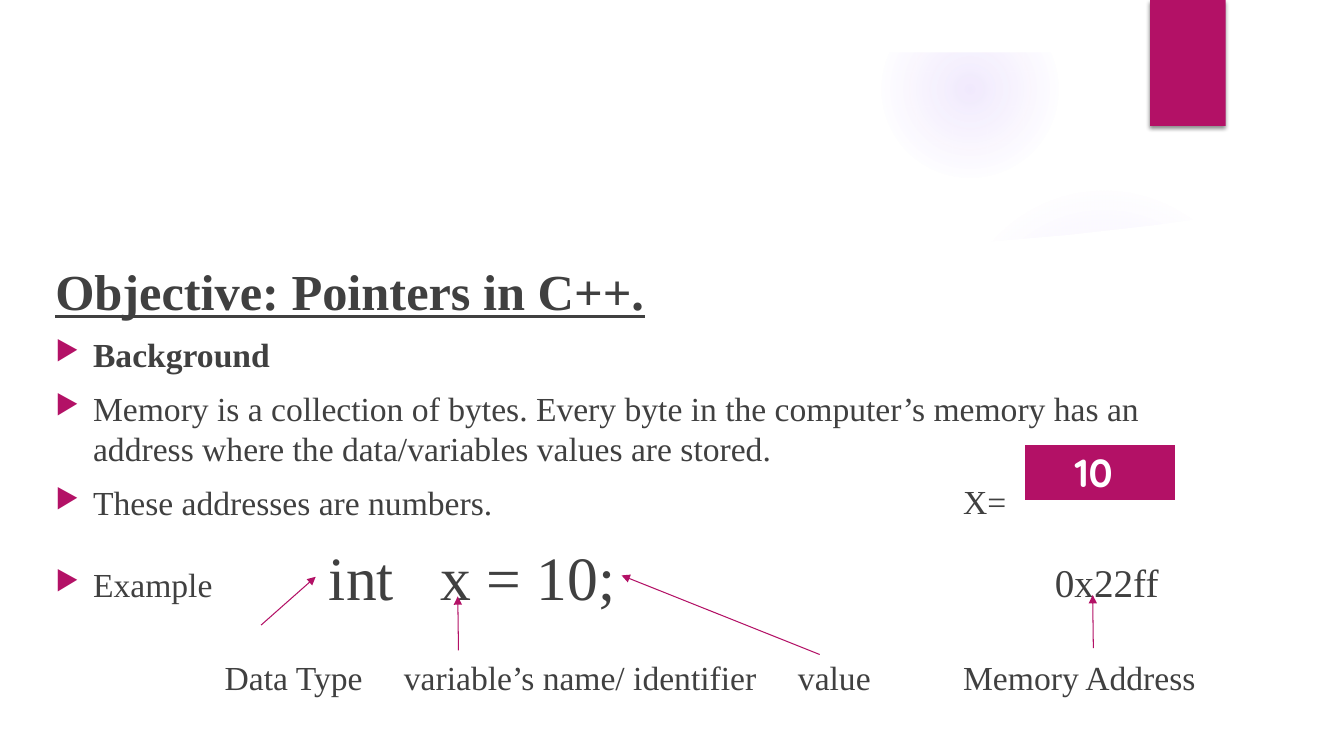
from dataclasses import dataclass

from lxml import etree
from pptx import Presentation
from pptx.dml.color import RGBColor
from pptx.enum.shapes import MSO_CONNECTOR, MSO_SHAPE
from pptx.enum.text import MSO_ANCHOR
from pptx.oxml import parse_xml
from pptx.oxml.ns import nsdecls, qn
from pptx.util import Pt

RECTANGLE, OVAL = MSO_SHAPE.RECTANGLE, MSO_SHAPE.OVAL
STRAIGHT, MIDDLE = MSO_CONNECTOR.STRAIGHT, MSO_ANCHOR.MIDDLE
COLORS = {"accent": "B31166", "text": "404040", "white": "FFFFFF",
          "glow": "9B6BF2", "shadow": "000000"}
SERIF, ROUNDED = "Times New Roman", "Quicksand"
ASCENT = 0.89  # baseline offset as a share of the font size


@dataclass
class Glow:
    left: float
    top: float
    size: float
    stops: tuple[tuple[int, int], ...]  # position and opacity, in percent


@dataclass
class Label:
    text: str
    left: float
    baseline: float
    width: float
    size: float = 24


@dataclass
class Arrow:
    start: tuple[float, float]
    end: tuple[float, float]


GLOWS = [Glow(677.5, 131.8, 221.8, ((0, 7), (36, 6), (69, 0))),
         Glow(630, 0.7, 126, ((0, 14), (36, 7), (73, 0)))]
PANEL = [(36, 147), (97, 156), (179, 163.5), (259, 171), (351, 176), (454, 178.5),
         (566, 178), (644, 176), (703, 173), (762, 168), (824, 161), (924, 147),
         (924, 504), (36, 504)]
BULLETS = [
    ("Background", True, 10),
    ("Memory is a collection of bytes. Every byte in the computer’s memory has an "
     "address where the data/variables values are stored.", False, 10),
    ("These addresses are numbers.", False, 10),
    ("Example", False, 30),
]
CODE_LINE, CAPTION_LINE = 424, 490.5
LABELS = [
    Label("X=", 688, 365, 40),
    Label("int", 235, CODE_LINE, 60, 44),
    Label("x = 10;", 314.5, CODE_LINE, 140, 44),
    Label("0x22ff", 753.5, CODE_LINE, 90, 28),
    Label("Data Type", 160.5, CAPTION_LINE, 115),
    Label("variable’s name/ identifier", 288.5, CAPTION_LINE, 270),
    Label("value", 570, CAPTION_LINE, 70),
    Label("Memory Address", 688, CAPTION_LINE, 185),
]
ARROWS = [Arrow((186.5, 446.5), (225.5, 412)), Arrow((327.5, 464.5), (327, 426)),
          Arrow((585.5, 467.5), (444, 411)), Arrow((781, 463), (780.5, 425))]


def color(name: str) -> RGBColor:
    return RGBColor.from_string(COLORS[name])


def write(para, text: str, *, size: float = 24, font: str = SERIF, ink: str = "text",
          bold: bool = False, underline: bool = False) -> None:
    span = para.add_run()
    span.text = text
    span.font.size, span.font.name = Pt(size), font
    span.font.bold, span.font.underline = bold, underline
    span.font.color.rgb = color(ink)


def paint(shape, fill: str) -> None:
    shape.shadow.inherit = False
    shape.fill.solid()
    shape.fill.fore_color.rgb = color(fill)
    shape.line.fill.background()


def add_text_box(page, left: float, top: float, width: float, height: float):
    frame = page.shapes.add_textbox(Pt(left), Pt(top), Pt(width), Pt(height)).text_frame
    frame.word_wrap = True
    frame.margin_left = frame.margin_right = frame.margin_top = frame.margin_bottom = 0
    return frame


def add_glow(page, glow: Glow) -> None:
    shape = page.shapes.add_shape(OVAL, Pt(glow.left), Pt(glow.top),
                                  Pt(glow.size), Pt(glow.size))
    paint(shape, "glow")
    stops = "".join(
        f'<a:gs pos="{place * 1000}"><a:srgbClr val="{COLORS["glow"]}">'
        f'<a:alpha val="{opacity * 1000}"/></a:srgbClr></a:gs>'
        for place, opacity in glow.stops)
    gradient = parse_xml(
        f'<a:gradFill {nsdecls("a")}><a:gsLst>{stops}</a:gsLst><a:path path="circle">'
        '<a:fillToRect l="50000" t="50000" r="50000" b="50000"/></a:path></a:gradFill>')
    properties = shape.fill._xPr
    properties.replace(properties.find(qn("a:solidFill")), gradient)


def add_background(page) -> None:
    for glow in GLOWS:
        add_glow(page, glow)
    builder = page.shapes.build_freeform(Pt(PANEL[0][0]), Pt(PANEL[0][1]))
    builder.add_line_segments([(Pt(x), Pt(y)) for x, y in PANEL[1:]], close=True)
    paint(builder.convert_to_shape(), "white")
    paint(page.shapes.add_shape(RECTANGLE, 0, 0, Pt(960), Pt(37.5)), "white")


def add_ribbon(page) -> None:
    ribbon = page.shapes.add_shape(RECTANGLE, Pt(821.5), 0, Pt(54), Pt(90))
    paint(ribbon, "accent")
    effects = ribbon._element.spPr.find(qn("a:effectLst"))
    effects.append(parse_xml(
        f'<a:outerShdw {nsdecls("a")} blurRad="{Pt(3)}" dist="{Pt(2)}" dir="5400000">'
        f'<a:srgbClr val="{COLORS["shadow"]}"><a:alpha val="45000"/></a:srgbClr>'
        '</a:outerShdw>'))


def add_bullet(para) -> None:
    properties = para._p.get_or_add_pPr()
    properties.set("marL", str(Pt(27)))
    properties.set("indent", str(-Pt(27)))
    tint = etree.SubElement(properties, qn("a:buClr"))
    etree.SubElement(tint, qn("a:srgbClr"), val=COLORS["accent"])
    etree.SubElement(properties, qn("a:buSzPct"), val="80000")
    etree.SubElement(properties, qn("a:buChar"), char="▶")


def add_body(page) -> None:
    frame = add_text_box(page, 39.5, 185.8, 818, 250)
    write(frame.paragraphs[0], "Objective: Pointers in C++.",
          size=36, bold=True, underline=True)
    for text, bold, gap in BULLETS:
        para = frame.add_paragraph()
        para.space_before, para.line_spacing = Pt(gap), Pt(28.5)
        add_bullet(para)
        write(para, text, bold=bold)


def add_label(page, label: Label) -> None:
    frame = add_text_box(page, label.left, label.baseline - ASCENT * label.size,
                         label.width, label.size * 1.15)
    write(frame.paragraphs[0], label.text, size=label.size)


def add_arrow(page, arrow: Arrow) -> None:
    line = page.shapes.add_connector(STRAIGHT, *map(Pt, arrow.start + arrow.end))
    line.line.color.rgb = color("accent")
    line.line.width = Pt(0.75)
    etree.SubElement(line.line._get_or_add_ln(), qn("a:tailEnd"), type="triangle")
    etree.SubElement(line._element.spPr, qn("a:effectLst"))


def add_value_table(page) -> None:
    table = page.shapes.add_table(1, 1, Pt(731.5), Pt(317.5), Pt(108), Pt(41)).table
    cell = table.cell(0, 0)
    cell.margin_left, cell.margin_top, cell.margin_bottom = Pt(36), Pt(2), Pt(2)
    cell.vertical_anchor = MIDDLE
    write(cell.text_frame.paragraphs[0], "10",
          size=28, font=ROUNDED, ink="white", bold=True)
    properties = cell._tc.get_or_add_tcPr()
    for side, width in {"lnL": 1, "lnR": 1, "lnT": 1, "lnB": 3}.items():
        border = etree.SubElement(properties, qn(f"a:{side}"), w=str(Pt(width)))
        fill = etree.SubElement(border, qn("a:solidFill"))
        etree.SubElement(fill, qn("a:srgbClr"), val=COLORS["white"])
    cell.fill.solid()
    cell.fill.fore_color.rgb = color("accent")


def main() -> None:
    deck = Presentation()
    deck.slide_width, deck.slide_height = Pt(960), Pt(540)
    page = deck.slides.add_slide(deck.slide_layouts[6])
    # Backdrop
    add_background(page)
    add_ribbon(page)
    # Text and code example
    add_body(page)
    for label in LABELS:
        add_label(page, label)
    # Stored value and pointers to each part
    add_value_table(page)
    for arrow in ARROWS:
        add_arrow(page, arrow)
    deck.save("out.pptx")


if __name__ == "__main__":
    main()
